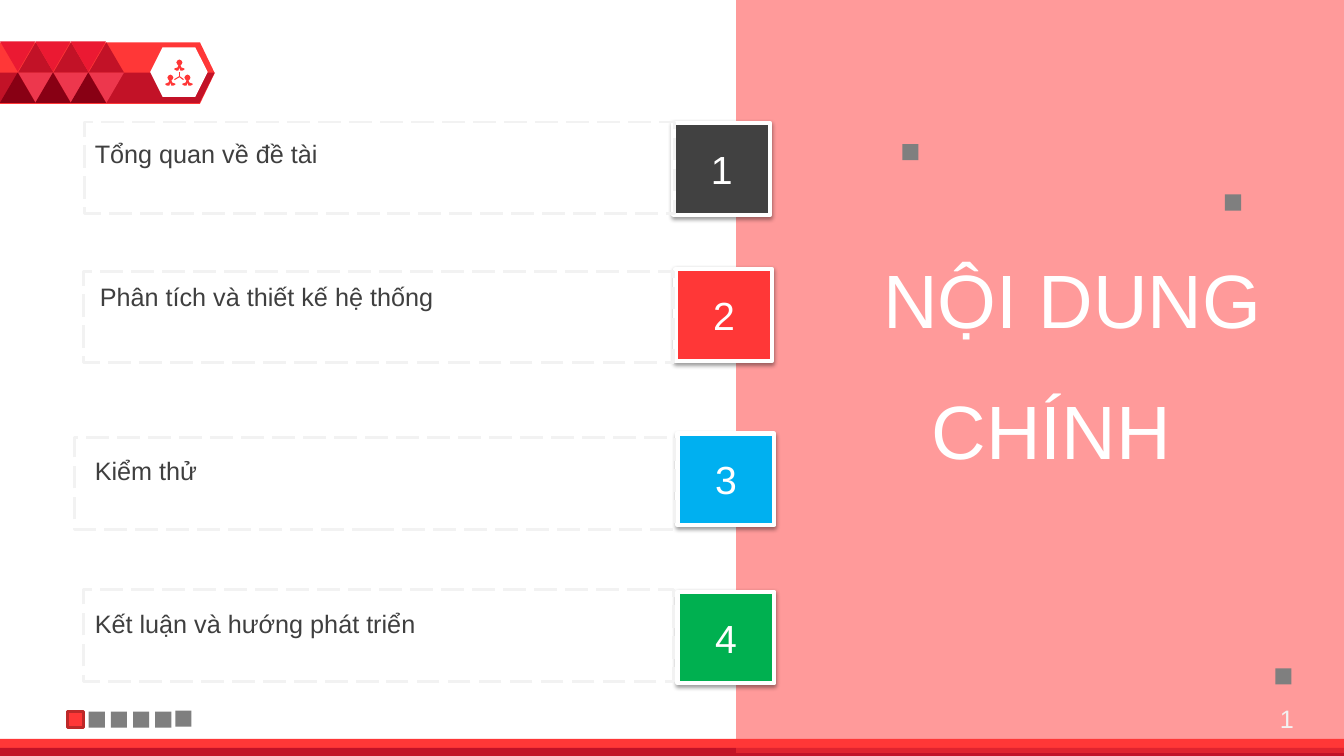
"""Build the agenda slide with four numbered topics and a red side panel."""
from lxml import etree
from pptx import Presentation
from pptx.dml.color import RGBColor
from pptx.enum.dml import MSO_LINE
from pptx.enum.shapes import MSO_CONNECTOR, MSO_SHAPE as Shape
from pptx.enum.text import MSO_ANCHOR as Anchor, MSO_AUTO_SIZE, PP_ALIGN as Align
from pptx.oxml import parse_xml
from pptx.oxml.ns import nsdecls, qn
from pptx.util import Inches, Pt

TITLE = [("NỘI DUNG", 0), ("CHÍNH", 0.48)]
TOPICS = [
    {"text": "Tổng quan về đề tài", "top": 1.32, "indent": 0, "color": "dark",
     "badge": (6.68, 1.22), "frame": (0.84, 1.21, 5.85)},
    {"text": "Phân tích và thiết kế hệ thống", "top": 2.73, "indent": 0.05, "color": "red",
     "badge": (6.7, 2.67), "frame": (0.83, 2.69, 5.85)},
    {"text": "Kiểm thử", "top": 4.44, "indent": 0, "color": "blue",
     "badge": (6.72, 4.3), "frame": (0.74, 4.34, 5.95)},
    {"text": "Kết luận và hướng phát triển", "top": 5.95, "indent": 0, "color": "green",
     "badge": (6.72, 5.87), "frame": (0.83, 5.85, 5.85)},
]
COLORS = {
    "red": "FF3737", "deep": "C21227", "bright": "EB1932", "rose": "ED374D",
    "maroon": "880014", "edge": "BD2929", "dark": "414141", "blue": "00B0F0",
    "green": "00B050", "gray": "7F7F7F", "text": "3F3F3F", "pale": "F2F2F2",
    "white": "FFFFFF",
}
SQUARES = [(12.65, 6.63), (8.95, 1.43), (12.15, 1.93), (1.74, 7.05)]
SQUARES += [(0.88 + 0.22 * index, 7.06) for index in range(4)]
SQUARE, ROW_HEIGHT, BADGE_WIDTH = 0.16, 0.91, 0.96
TRIANGLE_WIDTH, TRIANGLE_HEIGHT = 0.35, 0.3
TRIANGLES = [(0, 0.41, 180, "bright"), (0.18, 0.42, 0, "deep"),
             (0.18, 0.72, 180, "rose"), (0, 0.72, 0, "maroon")]
PEOPLE = [(1.78, 0.59), (1.69, 0.74), (1.86, 0.74)]
HALF_PERSON = [(0, 0), (0.02, 0.01), (0.03, 0.03), (0.02, 0.05), (0.01, 0.06),
               (0.02, 0.08), (0.05, 0.09), (0.05, 0.1), (0.03, 0.11), (0.01, 0.11), (0, 0.08)]
HUB, HUB_ENDS = (1.78, 0.76), [(1.78, 0.71), (1.82, 0.79), (1.73, 0.79)]
LINE_HEIGHT = 1.15


def rgb(name):
    return RGBColor.from_string(COLORS[name])


def paint(shape, fill=None, line=None, weight=2):
    shape.shadow.inherit = False
    if fill:
        shape.fill.solid()
        shape.fill.fore_color.rgb = rgb(fill)
    else:
        shape.fill.background()
    if line:
        shape.line.color.rgb = rgb(line)
        shape.line.width = Pt(weight)
    else:
        shape.line.fill.background()
    return shape


def add_shape(kind, left, top, width, height, **style):
    box = [Inches(value) for value in (left, top, width, height)]
    return paint(slide.shapes.add_shape(kind, *box), **style)


def add_polygon(points, fill):
    points = [(Inches(x), Inches(y)) for x, y in points]
    builder = slide.shapes.build_freeform(*points[0], scale=1.0)
    builder.add_line_segments(points[1:], close=True)
    return paint(builder.convert_to_shape(), fill)


def format_font(font, size, color):
    for name, value in {"name": "Arial", "size": Pt(size), "bold": False}.items():
        setattr(font, name, value)
    font.color.rgb = rgb(color)


def set_frame(frame, anchor):
    values = {"word_wrap": True, "auto_size": MSO_AUTO_SIZE.NONE, "vertical_anchor": anchor,
              "margin_left": Inches(0.1), "margin_right": Inches(0.1),
              "margin_top": Inches(0.05), "margin_bottom": Inches(0.05)}
    for name, value in values.items():
        setattr(frame, name, value)


def fill_placeholder(placeholder, box, lines, size, color):
    """Write (text, indent, space before) lines in a placeholder and bring it forward."""
    for name, value in zip(("left", "top", "width", "height"), box):
        setattr(placeholder, name, Inches(value))
    frame = placeholder.text_frame
    set_frame(frame, Anchor.TOP)
    for index, (text, indent, before) in enumerate(lines):
        paragraph = frame.paragraphs[0] if index == 0 else frame.add_paragraph()
        paragraph.text = text
        formats = {"alignment": Align.LEFT, "line_spacing": 1.0,
                   "space_before": Pt(before), "space_after": Pt(0)}
        for name, value in formats.items():
            setattr(paragraph, name, value)
        format_font(paragraph.runs[0].font, size, color)
        properties = paragraph._p.get_or_add_pPr()
        properties.set("marL", str(Inches(indent)))
        properties.set("indent", "0")
        etree.SubElement(properties, qn("a:buNone"))
    placeholder.element.getparent().append(placeholder.element)


def add_banner():
    add_shape(Shape.PENTAGON, 0, 0.42, 2.13, 0.61, fill="red").adjustments[0] = 0.24
    add_polygon([(0, 0.72), (2.13, 0.72), (1.98, 1.02), (0, 1.02)], "deep")
    add_shape(Shape.HEXAGON, 1.49, 0.47, 0.57, 0.49, fill="white")
    for center, top in PEOPLE:
        right = [(center + x, top + y) for x, y in HALF_PERSON]
        left = [(center - x, top + y) for x, y in HALF_PERSON[-2:0:-1]]
        add_polygon(right + left, "red")
    for end in HUB_ENDS:
        points = [Inches(value) for value in HUB + end]
        spoke = slide.shapes.add_connector(MSO_CONNECTOR.STRAIGHT, *points)
        spoke.line.color.rgb = rgb("red")
        spoke.line.width = Pt(0.75)
        etree.SubElement(spoke._element.spPr, qn("a:effectLst"))
    for column in range(3):
        for left, top, rotation, color in TRIANGLES:
            triangle = add_shape(Shape.ISOSCELES_TRIANGLE, left + column * TRIANGLE_WIDTH, top,
                                 TRIANGLE_WIDTH, TRIANGLE_HEIGHT, fill=color)
            triangle.rotation = rotation


def add_topic(number, topic):
    badge = add_shape(Shape.RECTANGLE, *topic["badge"], BADGE_WIDTH, ROW_HEIGHT,
                      fill=topic["color"], line="white", weight=3)
    badge._element.spPr.find(qn("a:effectLst")).append(parse_xml(
        f'<a:outerShdw {nsdecls("a")} blurRad="39400" dist="20300" dir="5400000" rotWithShape="0">'
        '<a:srgbClr val="000000"><a:alpha val="38000"/></a:srgbClr></a:outerShdw>'))
    set_frame(badge.text_frame, Anchor.MIDDLE)
    paragraph = badge.text_frame.paragraphs[0]
    paragraph.text = str(number)
    paragraph.alignment = Align.CENTER
    format_font(paragraph.runs[0].font, 28, "white")
    left, top, width = topic["frame"]
    frame = add_shape(Shape.RECTANGLE, left, top, width, ROW_HEIGHT, line="pale")
    frame.line.dash_style = MSO_LINE.LONG_DASH


def add_slide_number():
    box = slide.shapes.add_textbox(Inches(12.34), Inches(6.93), Inches(0.59), Inches(0.4))
    set_frame(box.text_frame, Anchor.TOP)
    paragraph = box.text_frame.paragraphs[0]
    paragraph.alignment = Align.RIGHT
    paragraph._p.append(parse_xml(
        f'<a:fld {nsdecls("a")} id="{{B6F15528-21DE-4FAA-801E-634DDDAF4B2B}}" type="slidenum">'
        f'<a:rPr lang="vi-VN" sz="1800"><a:solidFill><a:srgbClr val="{COLORS["pale"]}"/>'
        '</a:solidFill><a:latin typeface="Arial"/></a:rPr><a:t>1</a:t></a:fld>'))


presentation = Presentation()
presentation.slide_width, presentation.slide_height = Inches(13.33), Inches(7.5)
slide = presentation.slides.add_slide(presentation.slide_layouts[1])
title, body = slide.placeholders

add_banner()
add_shape(Shape.RECTANGLE, 0, 7.33, 13.33, 0.16, fill="red")
add_shape(Shape.RECTANGLE, 0, 7.42, 13.33, 0.08, fill="deep")
panel = add_shape(Shape.RECTANGLE, 7.3, -0.03, 6.09, 7.5, fill="red")
panel_color = panel._element.spPr.find(qn("a:solidFill"))[0]
etree.SubElement(panel_color, qn("a:alpha"), val="50000")

for number, topic in enumerate(TOPICS, 1):
    add_topic(number, topic)
add_shape(Shape.RECTANGLE, 0.67, 7.06, SQUARE, SQUARE, fill="red", line="edge")
for left, top in SQUARES:
    add_shape(Shape.RECTANGLE, left, top, SQUARE, SQUARE, fill="gray")
add_slide_number()

title_lines = [(text, indent, 28.7 if indent else 0) for text, indent in TITLE]
fill_placeholder(title, (8.66, 2.46, 4.2, 2.27), title_lines, 54, "white")
topic_lines, previous = [], None
for topic in TOPICS:
    gap = (topic["top"] - previous) * 72 - 18 * LINE_HEIGHT if previous else 0
    topic_lines.append((topic["text"], topic["indent"], gap))
    previous = topic["top"]
fill_placeholder(body, (0.84, TOPICS[0]["top"], 5.39, 5.03), topic_lines, 18, "text")

presentation.save("out.pptx")
